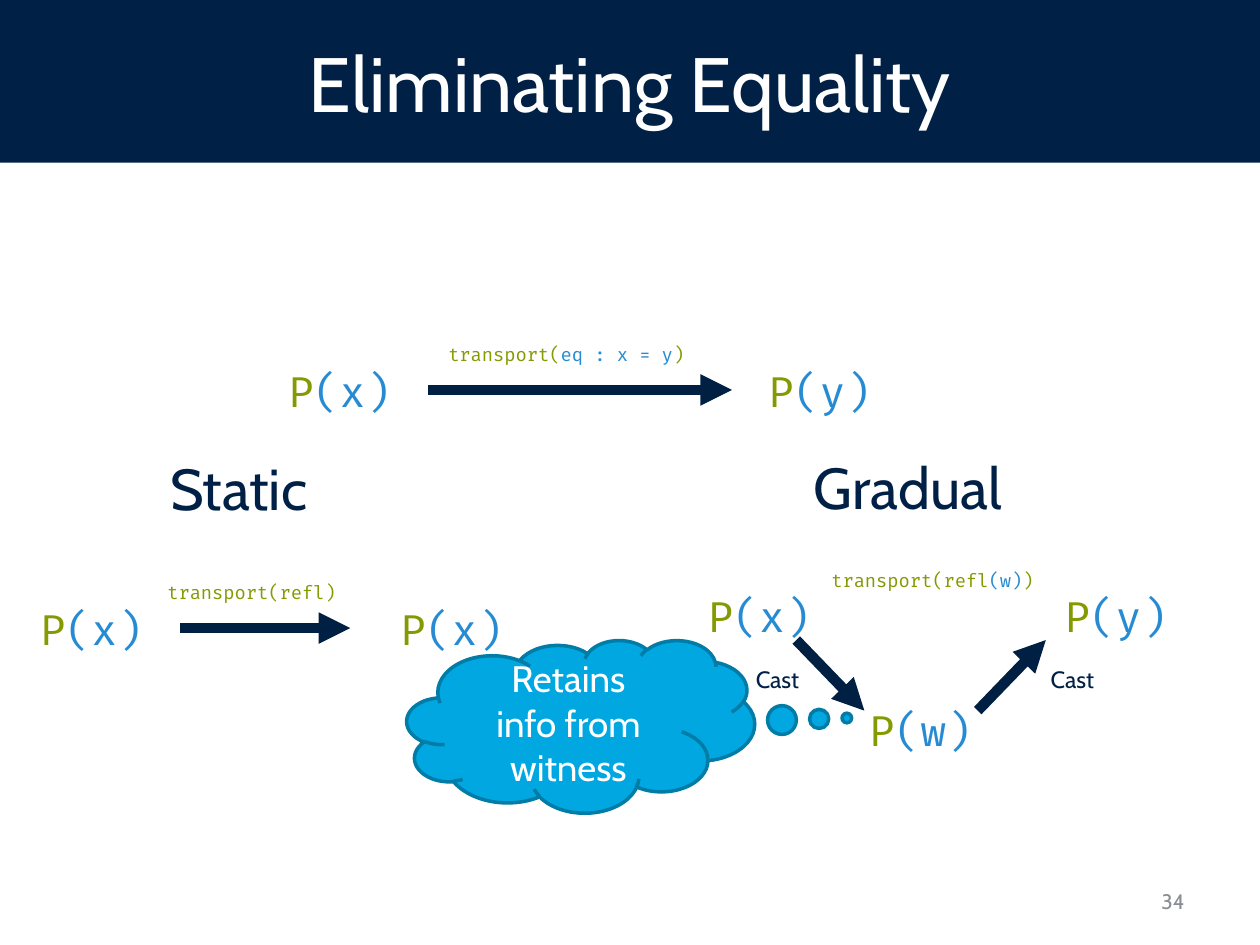
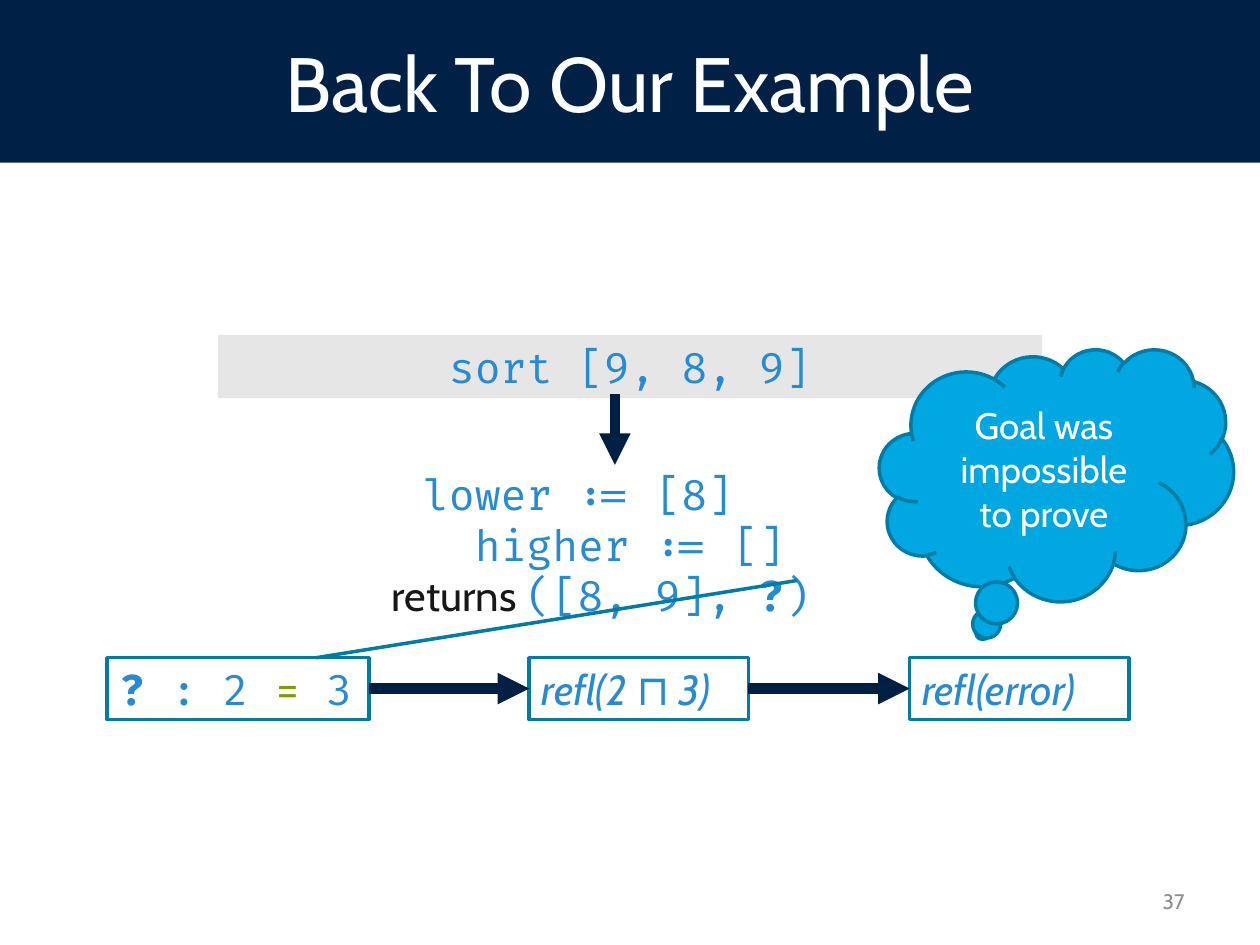
from itertools import pairwise

from lxml import etree
from pptx import Presentation
from pptx import util as u
from pptx.dml.color import RGBColor
from pptx.enum import shapes, text
from pptx.oxml.ns import qn

COLORS = {
    "navy": "002145", "arrow": "002043", "white": "FFFFFF", "number": "8C8D94",
    "green": "859900", "blue": "268BD2", "cloud": "00A7E1", "edge": "007CA6",
    "band": "E7E6E6", "ink": "181717",
}
SANS, CODE = "Cabin", "Fira Code"
WIDTH, HEIGHT = u.Inches(10), u.Inches(7.5)
CELL = WIDTH // 100  # the grid has 100 columns and 75 rows of square cells
TERM_W, TERM_H = 10.7, 5
LEFT, CENTER, RIGHT = text.PP_ALIGN.LEFT, text.PP_ALIGN.CENTER, text.PP_ALIGN.RIGHT
SHAPE = shapes.MSO_SHAPE


def cells(*values):
    return [round(v * CELL) for v in values]


def rgb(name):
    return RGBColor.from_string(COLORS[name])


def style(font, size=None, color=None, face=None, bold=None, italic=None):
    if size:
        font.size = u.Pt(size)
    if color:
        font.color.rgb = rgb(color)
    if face:
        font.name = face
    font.bold, font.italic = bold, italic


def write(tf, paragraphs, size, color, face=SANS, align=LEFT,
          anchor=text.MSO_ANCHOR.TOP, italic=None):
    """Each paragraph is a list of runs: a string, or (string, font changes)."""
    tf.word_wrap = True
    tf.vertical_anchor = anchor
    for i, runs in enumerate(paragraphs):
        p = tf.paragraphs[0] if i == 0 else tf.add_paragraph()
        p.alignment = align
        style(p.font, size, color, face, italic=italic)
        for run in runs:
            words, changes = (run, {}) if isinstance(run, str) else run
            r = p.add_run()
            r.text = words
            if changes:
                style(r.font, **changes)


def label(s, box, runs, size, color, **options):
    tf = s.shapes.add_textbox(*cells(*box)).text_frame
    write(tf, [runs], size, color, **options)
    return tf


def block(s, kind, box, fill, edge=None, adjust=()):
    sp = s.shapes.add_shape(kind, *cells(*box))
    sp.shadow.inherit = False
    sp.fill.solid()
    sp.fill.fore_color.rgb = rgb(fill)
    if edge:
        sp.line.color.rgb = rgb(edge)
        sp.line.width = u.Pt(2)
    else:
        sp.line.fill.background()
    for i, value in enumerate(adjust):
        sp.adjustments[i] = value
    return sp


def arrow(s, x1, y1, x2, y2):
    c = s.shapes.add_connector(shapes.MSO_CONNECTOR.STRAIGHT, *cells(x1, y1, x2, y2))
    c.line.color.rgb = rgb("arrow")
    c.line.width = u.Pt(6)
    etree.SubElement(c.line._get_or_add_ln(), qn("a:tailEnd"), type="triangle")
    etree.SubElement(c._element.spPr, qn("a:effectLst"))


def thought(s, box, paragraphs, adjust=()):
    sp = block(s, SHAPE.CLOUD_CALLOUT, box, "cloud", "edge", adjust)
    write(sp.text_frame, paragraphs, 21, "white", align=CENTER,
          anchor=text.MSO_ANCHOR.MIDDLE)


def base_slide(prs, title, number):
    s = prs.slides.add_slide(prs.slide_layouts[5])
    sp = s.shapes.title
    sp.left, sp.top, sp.width, sp.height = cells(0, 0, 100, 12.9)
    sp.fill.solid()
    sp.fill.fore_color.rgb = rgb("navy")
    middle = text.MSO_ANCHOR.MIDDLE
    write(sp.text_frame, [[title]], 44, "white", align=CENTER, anchor=middle)
    label(s, (71.7, 69.5, 23.3, 4), [str(number)], 12, "number", align=RIGHT,
          anchor=middle)
    return s


def term(s, x, y, variable):
    label(s, (x, y, TERM_W, TERM_H), ["P", (f"({variable})", {"color": "blue"})],
          24, "green", face=CODE, align=CENTER)


def caption(s, x, y, before, argument="", after=""):
    runs = [before, (argument, {"color": "blue"}), after] if argument else [before]
    label(s, (x, y, 26.7, 2.8), runs, 10.5, "green", face=CODE)


def heading(s, x, y, width, words):
    tf = label(s, (x, y, width, 10.9), [words], 33, "navy",
               anchor=text.MSO_ANCHOR.MIDDLE)
    tf.margin_left = tf.margin_right = u.Inches(0.07)
    tf.margin_top = tf.margin_bottom = u.Inches(0.04)
    tf.paragraphs[0].line_spacing = 0.9


def direct_transport(s, x, y, span, variables, arrow_end, caption_x, caption_runs):
    """Two terms joined by a straight arrow; x offsets count from the left term."""
    for tx, variable in zip((x, x + span), variables):
        term(s, tx, y, variable)
    arrow(s, x + 12.4, y + 2.45, x + arrow_end, y + 2.45)
    caption(s, x + caption_x, y - 1.75, *caption_runs)


def cast_transport(s, x, y):
    """Two terms joined by casts down to and up from a witness."""
    for dx, dy, variable in ((0, 0, "x"), (28.3, 0, "y"), (12.8, 9, "w")):
        term(s, x + dx, y + dy, variable)
    caption(s, x + 10.1, y - 1.7, "transport(refl", "(w)", ")")
    arrow(s, x + 8.3, y + 4.4, x + 13.7, y + 10)
    arrow(s, x + 22.7, y + 10, x + 28.1, y + 4.4)
    for dx in (4.1, 27.5):
        label(s, (x + dx, y + 5.9, 5.7, 3.3), ["Cast"], 13.5, "navy")


def equality_slide(prs):
    s = base_slide(prs, "Eliminating Equality", 34)
    direct_transport(s, 21.6, 28.5, 38.1, "xy", 36.5, 13,
                     ("transport(", "eq : x = y", ")"))
    direct_transport(s, 1.9, 47.4, 28.6, "xx", 25.9, 10.4, ("transport(refl)",))
    heading(s, 12.8, 33.6, 15, "Static")
    thought(s, (32.3, 50.8, 27.6, 13.7), [["Retains"], ["info from witness"]],
            (0.765, -0.048))
    cast_transport(s, 54.9, 46.4)
    heading(s, 63.9, 33.5, 20.3, "Gradual")


def sort_call(s, x, y, width):
    band = block(s, SHAPE.RECTANGLE, (x, y, width, 5), "band")
    write(band.text_frame, [["sort [9, 8, 9]"]], 24, "blue", face=CODE, align=CENTER)
    tf = label(s, (x, y + 10.1, width, 13.1), ["lower := [8]"], 24, "blue", face=CODE)
    returned = [("returns ", {"color": "ink", "face": SANS}), "([8, 9], ",
                ("?", {"bold": True}), ")"]
    for runs in (["higher := []"], returned):
        p = tf.add_paragraph()
        style(p.font, 24, "blue", CODE)
        for run in runs:
            words, changes = (run, {}) if isinstance(run, str) else run
            r = p.add_run()
            r.text = words
            style(r.font, **changes)
    for p, indent in zip(tf.paragraphs, (1.53, 1.94, 1.28)):
        p._p.get_or_add_pPr().set("marL", str(u.Inches(indent)))


def proof_steps(s, y, height):
    hole = [("? ", {"bold": True}), ": 2 ", ("=", {"color": "green"}), " 3"]
    meet = ["refl(2 ", ("⊓", {"italic": False}), " 3)"]
    pointer = (0.002, 0.795, -1.251, 2.633)
    steps = [
        (8.5, 20.8, SHAPE.LINE_CALLOUT_1, pointer, hole, CODE, None),
        (42, 17.4, SHAPE.RECTANGLE, (), meet, SANS, True),
        (72.2, 17.4, SHAPE.RECTANGLE, (), ["refl(error)"], SANS, True),
    ]
    for x, width, kind, adjust, runs, face, italic in steps:
        sp = block(s, kind, (x, y, width, height), "white", "edge", adjust)
        write(sp.text_frame, [runs], 24, "blue", face=face, italic=italic,
              anchor=text.MSO_ANCHOR.MIDDLE)
    for (x, width, *_), (next_x, *_) in pairwise(steps):
        arrow(s, x + width, y + height / 2, next_x, y + height / 2)


def example_slide(prs):
    s = base_slide(prs, "Back To Our Example", 37)
    sort_call(s, 17.3, 26.6, 65.4)
    arrow(s, 48.8, 31.3, 48.8, 36.9)
    proof_steps(s, 52.2, 4.9)
    thought(s, (69.8, 27.7, 28.1, 20), [["Goal was impossible to prove"]])


def main():
    prs = Presentation()
    prs.slide_width, prs.slide_height = WIDTH, HEIGHT
    equality_slide(prs)
    example_slide(prs)
    prs.save("out.pptx")


if __name__ == "__main__":
    main()
